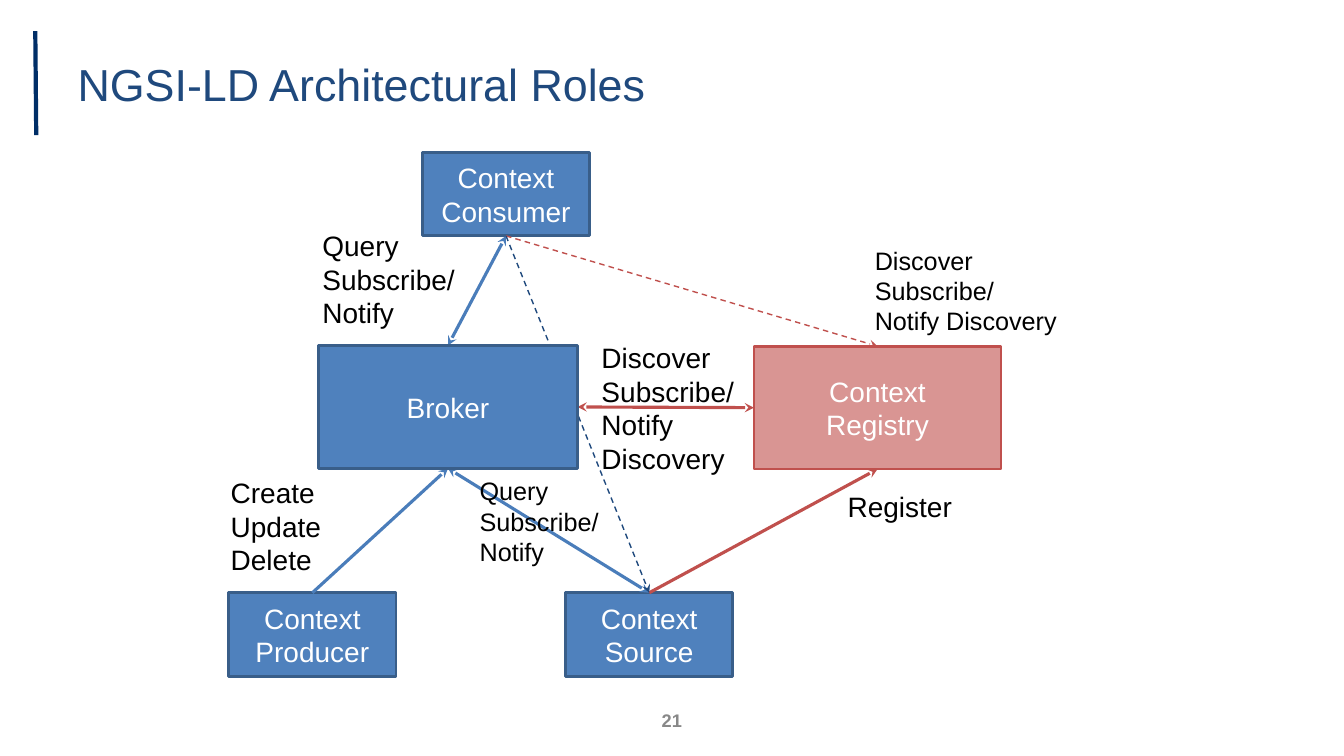
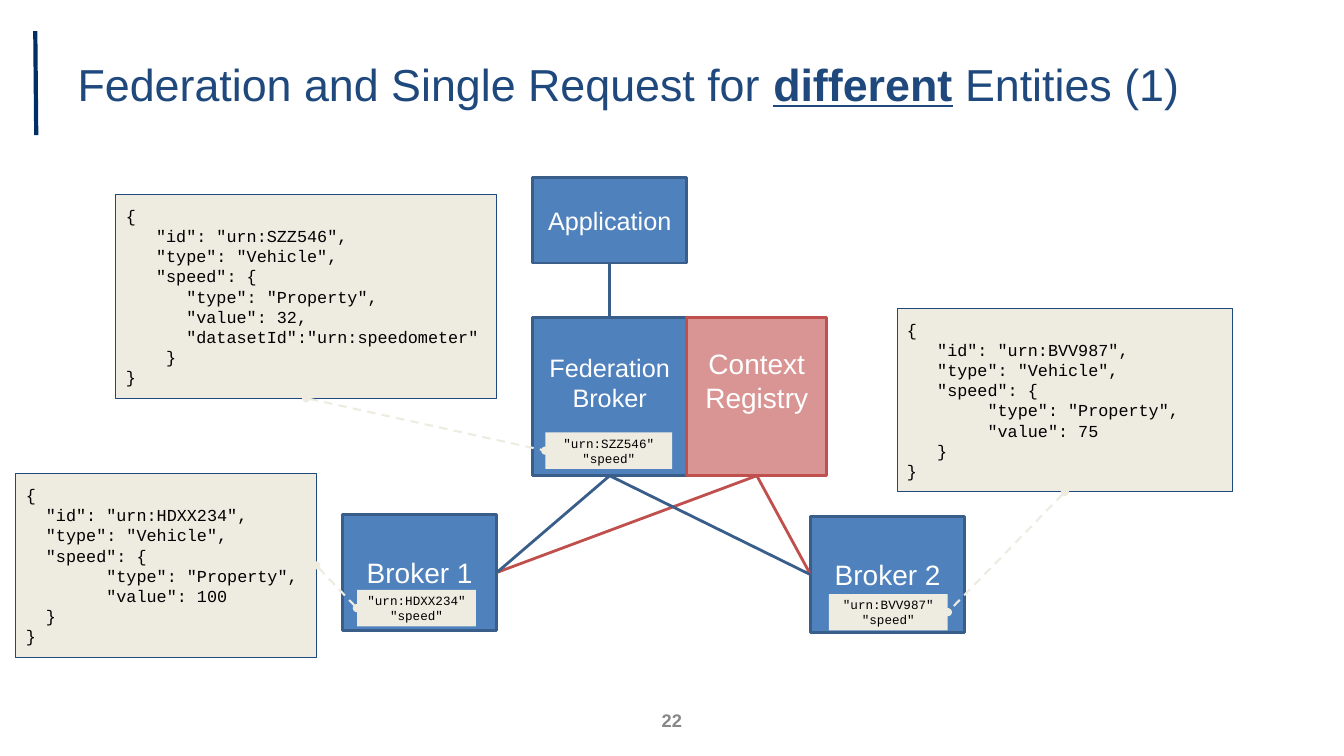
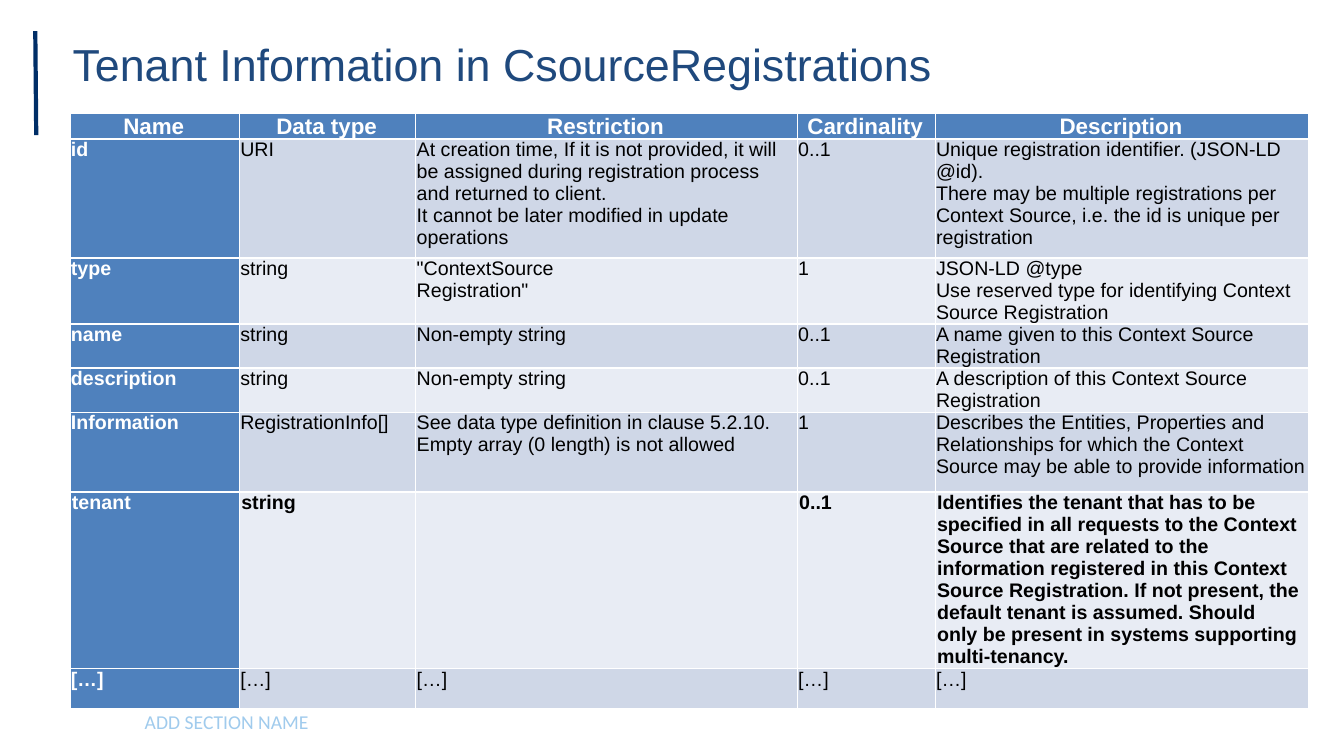
import lxml.etree
import pptx
import pptx.dml.color
import pptx.enum.dml
import pptx.enum.shapes
import pptx.enum.text
import pptx.oxml.ns
import pptx.util

Pt = pptx.util.Pt
rgb = pptx.dml.color.RGBColor.from_string
qn = pptx.oxml.ns.qn
ALIGN = pptx.enum.text.PP_ALIGN
ANCHOR = pptx.enum.text.MSO_ANCHOR
STRAIGHT = pptx.enum.shapes.MSO_CONNECTOR.STRAIGHT
TOP, LEFT, BOTTOM, RIGHT = range(4)

NAVY, TITLE_BLUE, BLUE, BLUE_EDGE, ARROW_BLUE = "002E67", "1F497D", "4F81BD", "395E89", "4A7DBA"
RED, PINK, CREAM, WHITE, BLACK = "C0504D", "D99593", "EEECE1", "FFFFFF", "000000"
BAND_DARK, BAND_LIGHT, GREY, PALE_BLUE = "CFD7E7", "E8ECF4", "888888", "A0CBED"


def add_box(slide, at, text, size, fill=None, edge=None, edge_width=2, color=BLACK, font="Arial",
            bold=False, align=ALIGN.CENTER, anchor=ANCHOR.MIDDLE, margins=(7.2, 3.6, 7.2, 3.6)):
    """Add a filled rectangle, or a text box when there is no fill; one paragraph per line."""
    at = [Pt(length) for length in at]
    if fill:
        shape = slide.shapes.add_shape(pptx.enum.shapes.MSO_SHAPE.RECTANGLE, *at)
        shape.shadow.inherit = False
        shape.fill.solid()
        shape.fill.fore_color.rgb = rgb(fill)
        if edge:
            shape.line.color.rgb = rgb(edge)
            shape.line.width = Pt(edge_width)
        else:
            shape.line.fill.background()
    else:
        shape = slide.shapes.add_textbox(*at)
    frame = shape.text_frame
    frame.word_wrap = True
    frame.vertical_anchor = anchor
    frame.margin_left, frame.margin_top, frame.margin_right, frame.margin_bottom = map(Pt, margins)
    frame.text = text
    for paragraph in frame.paragraphs:
        paragraph.alignment = align
        paragraph.font.name = font
        paragraph.font.size = Pt(size)
        paragraph.font.bold = bold
        paragraph.font.color.rgb = rgb(color)
    return shape


def add_link(slide, begin, end, color, width, dashed=False, head=None, tail=None):
    """Join two (shape, side) pairs with a straight connector."""
    connector = slide.shapes.add_connector(STRAIGHT, 0, 0, 0, 0)
    connector.begin_connect(*begin)
    connector.end_connect(*end)
    connector.line.color.rgb = rgb(color)
    connector.line.width = Pt(width)
    if dashed:
        connector.line.dash_style = pptx.enum.dml.MSO_LINE.DASH
    properties = connector.element.spPr
    for tag, kind in (("a:headEnd", head), ("a:tailEnd", tail)):
        if kind:
            lxml.etree.SubElement(properties.find(qn("a:ln")), qn(tag), type=kind)
    lxml.etree.SubElement(properties, qn("a:effectLst"))


presentation = pptx.Presentation()
presentation.slide_width = Pt(960)
presentation.slide_height = Pt(540)

# Shared layout: title position and accent line
layout = presentation.slide_layouts[5]
layout_title = layout.placeholders[0]
layout_title.left, layout_title.top = Pt(44.6), Pt(22.3)
layout_title.width, layout_title.height = Pt(826.6), Pt(79.2)

titles = [
    [("NGSI-LD Architectural Roles", False)],
    [("Federation and Single Request for ", False), ("different", True), (" Entities (1)", False)],
    [("Tenant Information in CsourceRegistrations", False)],
]
for runs in titles:
    slide = presentation.slides.add_slide(layout)
    frame = slide.shapes.title.text_frame
    frame.auto_size = pptx.enum.text.MSO_AUTO_SIZE.NONE
    frame.vertical_anchor = ANCHOR.MIDDLE
    frame.margin_left = frame.margin_right = Pt(10.8)
    frame.margin_top = frame.margin_bottom = Pt(5)
    paragraph = frame.paragraphs[0]
    paragraph.alignment = ALIGN.LEFT
    paragraph.line_spacing = 0.9
    paragraph.font.name = "Arial"
    paragraph.font.size = Pt(32)
    paragraph.font.color.rgb = rgb(TITLE_BLUE)
    for text, emphasised in runs:
        run = paragraph.add_run()
        run.text = text
        if emphasised:
            run.font.bold = run.font.underline = True

roles, federation, tenants = presentation.slides

accent = roles.shapes.add_connector(STRAIGHT, Pt(25.9), Pt(96.5), Pt(25.2), Pt(22.3))
accent.line.color.rgb = rgb(NAVY)
accent.line.width = Pt(3)
lxml.etree.SubElement(accent.element.spPr, qn("a:effectLst"))
layout.shapes.element.append(accent.element)

for slide, number in ((roles, "21"), (federation, "22")):
    add_box(slide, (425.5, 500.4, 108.7, 28.8), number, 13, color=GREY, bold=True)

blue_box = dict(fill=BLUE, edge=BLUE_EDGE, color=WHITE)
red_box = dict(fill=PINK, edge=RED, color=WHITE)

# Architectural roles
source = add_box(roles, (404, 423.4, 119.5, 59.8), "Context\nSource", 20, **blue_box)
consumer = add_box(roles, (301.7, 108.7, 119.5, 59.8), "Context\nConsumer", 20, **blue_box)
producer = add_box(roles, (163.4, 423.4, 119.5, 59.8), "Context\nProducer", 20, **blue_box)
registry = add_box(roles, (538.6, 247.3, 176.4, 87.8), "Context\nRegistry", 20, **red_box)
broker = add_box(roles, (227.5, 246.8, 185, 87.8), "Broker", 20, **blue_box)

arrow = dict(width=2.25, tail="stealth")
both_ways = dict(arrow, head="stealth")
thin = dict(width=1, dashed=True, tail="stealth")
for begin, end, color, style in (
    ((source, TOP), (broker, BOTTOM), ARROW_BLUE, both_ways),
    ((consumer, BOTTOM), (broker, TOP), ARROW_BLUE, both_ways),
    ((broker, RIGHT), (registry, LEFT), RED, both_ways),
    ((source, TOP), (registry, BOTTOM), RED, arrow),
    ((producer, TOP), (broker, BOTTOM), ARROW_BLUE, arrow),
    ((consumer, BOTTOM), (registry, TOP), RED, thin),
    ((consumer, BOTTOM), (source, TOP), TITLE_BLUE, thin),
):
    add_link(roles, begin, end, color, **style)
# The broker covers the dashed line that runs behind it
roles.shapes.element.append(broker.element)

for at, text, size in (
    ((223.2, 159.8, 110.2, 80), "Query\nSubscribe/\nNotify", 20),
    ((335.5, 336.2, 103.7, 72.7), "Query\nSubscribe/\nNotify", 18),
    ((422.6, 239.8, 110.2, 104.4), "Discover\nSubscribe/\nNotify\nDiscovery", 20),
    ((598.3, 346.3, 90, 31.7), "Register", 20),
    ((617.8, 171.4, 149, 72.7), "Discover\nSubscribe/\nNotify Discovery", 18),
    ((157.7, 336.2, 80, 80), "Create\nUpdate\nDelete", 20),
):
    add_box(roles, at, text, size, align=ALIGN.LEFT, anchor=ANCHOR.TOP)

# Federation
federation_broker = add_box(federation, (380.4, 226.8, 110.2, 113), "Federation\nBroker", 18,
                            margins=(7.2, 3.6, 7.2, 24.3), **blue_box)
broker_1 = add_box(federation, (244.7, 367.4, 110.2, 83), "Broker 1", 20, **blue_box)
broker_2 = add_box(federation, (579, 369, 110.2, 83), "Broker 2", 20, **blue_box)
application = add_box(federation, (380.4, 126.7, 110.2, 61.2), "Application", 18, **blue_box)
context_registry = add_box(federation, (490.6, 226.8, 100, 113), "Context\nRegistry", 20,
                           margins=(7.2, 3.6, 7.2, 26.6), **red_box)

for begin, end, color in (
    ((application, BOTTOM), (federation_broker, TOP), BLUE_EDGE),
    ((broker_1, RIGHT), (context_registry, BOTTOM), RED),
    ((broker_2, LEFT), (context_registry, BOTTOM), RED),
    ((federation_broker, BOTTOM), (broker_1, RIGHT), BLUE_EDGE),
    ((federation_broker, BOTTOM), (broker_2, LEFT), BLUE_EDGE),
):
    add_link(federation, begin, end, color, 2)

speedometer_code = """{
   "id": "urn:SZZ546",
   "type": "Vehicle",
   "speed": {
      "type": "Property",
      "value": 32,
      "datasetId":"urn:speedometer"
    }
}"""
broker_1_code = """{
  "id": "urn:HDXX234",
  "type": "Vehicle",
  "speed": {
        "type": "Property",
        "value": 100
  }
}"""
broker_2_code = """{
   "id": "urn:BVV987",
   "type": "Vehicle",
   "speed": {
        "type": "Property",
        "value": 75
   }
}"""
for code_at, code, code_side, tag_at, urn, tag_side in (
    ((82.8, 139, 271.8, 145.4), speedometer_code, BOTTOM, (389.5, 308.9, 90.7, 26), "urn:SZZ546", LEFT),
    ((11.3, 338.4, 214.6, 131), broker_1_code, RIGHT, (255, 421.4, 85, 26), "urn:HDXX234", LEFT),
    ((640.8, 220.3, 239.8, 131), broker_2_code, BOTTOM, (592, 424.3, 85, 26), "urn:BVV987", RIGHT),
):
    code_box = add_box(federation, code_at, code, 12, CREAM, TITLE_BLUE, 0.75, font="Courier New",
                       align=ALIGN.LEFT, margins=(7.2, 7.2, 7.2, 7.2))
    tag = add_box(federation, tag_at, f'"{urn}"\n"speed"', 9, CREAM, font="Courier New",
                  margins=(3, 3, 3, 3))
    add_link(federation, (code_box, code_side), (tag, tag_side), CREAM, 1.5,
             dashed=True, head="oval", tail="oval")

# Tenant information
frame = tenants.shapes.title.text_frame
frame.vertical_anchor = ANCHOR.TOP
frame.margin_left = frame.margin_right = Pt(7.2)
frame.margin_top = frame.margin_bottom = Pt(3.6)
frame.paragraphs[0].line_spacing = 1.0

rows = [
    ("Name", "Data type", "Restriction", "Cardinality", "Description"),
    ("id", "URI",
     "At creation time, If it is not provided, it will be assigned during registration process "
     "and returned to client.\nIt cannot be later modified in update operations",
     "0..1",
     "Unique registration identifier. (JSON‑LD @id).\nThere may be multiple registrations per "
     "Context Source, i.e. the id is unique per registration"),
    ("type", "string", '"ContextSource\nRegistration"', "1",
     "JSON-LD @type\nUse reserved type for identifying Context Source Registration"),
    ("name", "string", "Non-empty string", "0..1",
     "A name given to this Context Source Registration"),
    ("description", "string", "Non-empty string", "0..1",
     "A description of this Context Source Registration"),
    ("Information", "RegistrationInfo[]",
     "See data type definition in clause 5.2.10. Empty array (0 length) is not allowed", "1",
     "Describes the Entities, Properties and Relationships for which the Context Source may be "
     "able to provide information"),
    ("tenant", "string", "", "0..1",
     "Identifies the tenant that has to be specified in all requests to the Context Source that "
     "are related to the information registered in this Context Source Registration. If not "
     "present, the default tenant is assumed. Should only be present in systems supporting "
     "multi-tenancy."),
    ("[…]",) * 5,
]
column_widths = (121, 126, 272.5, 98.5, 267)
row_heights = (18, 85, 47.2, 31.5, 31.5, 57, 126, 29)
table = tenants.shapes.add_table(len(rows), len(column_widths), Pt(50), Pt(81.2),
                                 Pt(sum(column_widths)), Pt(sum(row_heights))).table
table.first_col = True
for column, width in zip(table.columns, column_widths):
    column.width = Pt(width)
for row_index, (texts, height) in enumerate(zip(rows, row_heights)):
    table.rows[row_index].height = Pt(height)
    is_header = row_index == 0
    is_tenant = texts[0] == "tenant"
    for column_index, text in enumerate(texts):
        is_label = is_header or column_index == 0
        cell = table.cell(row_index, column_index)
        cell.margin_left, cell.margin_right = (Pt(1.4), Pt(6.2)) if is_tenant else (Pt(0.7), Pt(2.1))
        cell.margin_top = cell.margin_bottom = 0
        cell.fill.solid()
        cell.fill.fore_color.rgb = rgb(BLUE if is_label else BAND_DARK if row_index % 2 else BAND_LIGHT)
        cell.text = text
        for paragraph in cell.text_frame.paragraphs:
            paragraph.alignment = ALIGN.CENTER if is_header else ALIGN.LEFT
            # Exact spacing keeps the rows at their set heights
            paragraph.line_spacing = Pt(18 if is_header else 15.7)
            paragraph.font.name = "Arial"
            paragraph.font.size = Pt(16 if is_header else 14)
            paragraph.font.bold = is_label or is_tenant
            paragraph.font.color.rgb = rgb(WHITE if is_label else BLACK)

add_box(tenants, (0, 503.3, 324, 28.8), "ADD SECTION NAME", 14, color=PALE_BLUE, font="Calibri",
        anchor=ANCHOR.TOP)

presentation.save("out.pptx")
